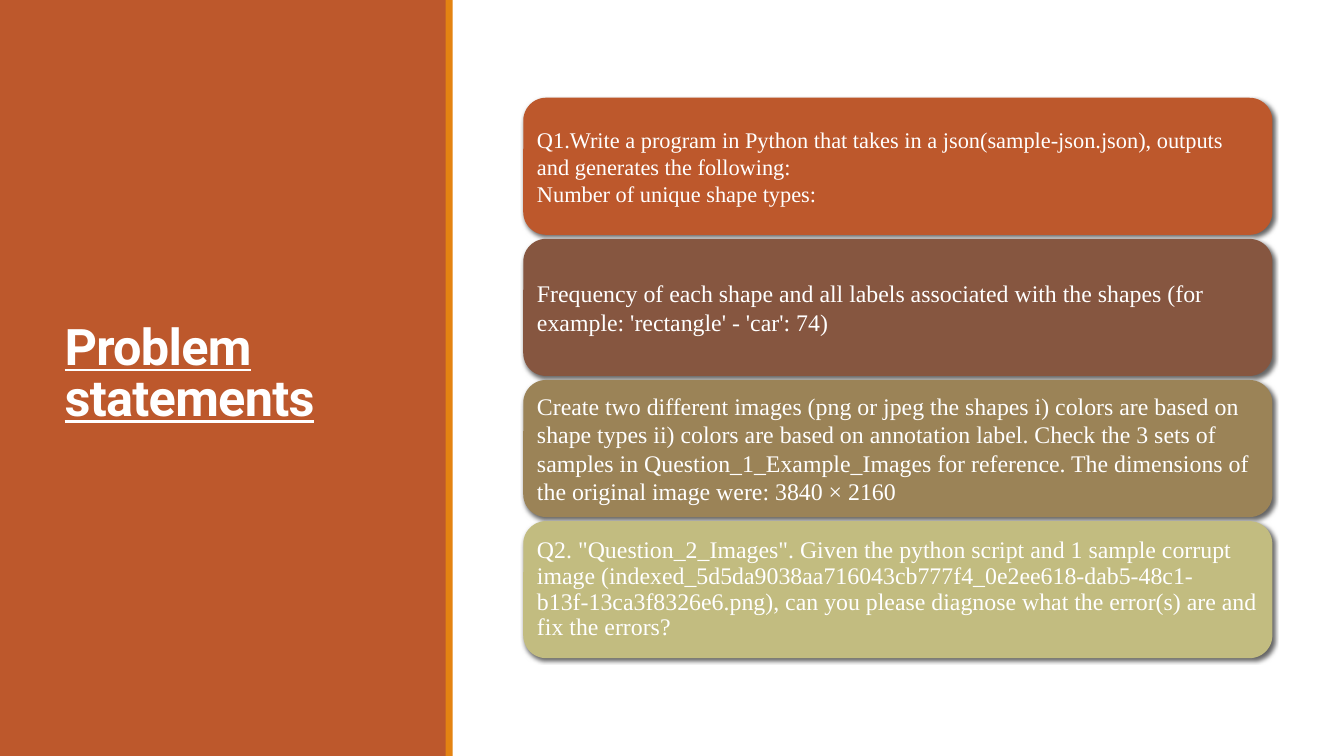
from lxml import etree
from pptx import Presentation
from pptx.dml.color import RGBColor
from pptx.enum import shapes, text
from pptx.oxml import ns
from pptx.util import Inches, Pt

COLORS = {
    "rust": "BD582C",
    "orange": "E48312",
    "brown": "865640",
    "tan": "9B8357",
    "khaki": "C2BC80",
    "white": "FFFFFF",
    "black": "000000",
}

# Fill, font size, line spacing, paragraphs
STATEMENTS = [
    ("rust", 16, None, [
        "Q1.Write a program in Python that takes in a json(sample-json.json), "
        "outputs and generates the following:",
        "Number of unique shape types:"]),
    ("brown", 17, None, [
        "Frequency of each shape and all labels associated with the shapes "
        "(for example: 'rectangle' - 'car': 74)"]),
    ("tan", 17, None, [
        "Create two different images (png or jpeg the shapes i) colors are "
        "based on shape types ii) colors are based on annotation label. Check "
        "the 3 sets of samples in Question_1_Example_Images for reference. The "
        "dimensions of the original image were: 3840 × 2160"]),
    ("khaki", 17, 0.9, [
        'Q2. "Question_2_Images". Given the python script and 1 sample corrupt '
        "image (indexed_5d5da9038aa716043cb777f4_0e2ee618-dab5-48c1-b13f-"
        "13ca3f8326e6.png), can you please diagnose what the error(s) are and "
        "fix the errors?"]),
]
CARD_TOP, CARD_PITCH = 0.97, 1.4


def rgb(name):
    return RGBColor.from_string(COLORS[name])


def add_block(s, kind, left, top, width, height, color):
    sp = s.shapes.add_shape(kind, Inches(left), Inches(top),
                            Inches(width), Inches(height))
    sp.shadow.inherit = False
    sp.fill.solid()
    sp.fill.fore_color.rgb = rgb(color)
    sp.line.fill.background()
    return sp


def add_shadow(sp):
    effects = sp.element.spPr.find(ns.qn("a:effectLst"))
    shadow = etree.SubElement(effects, ns.qn("a:outerShdw"), blurRad=str(Pt(3)),
                              dist=str(Pt(2)), dir="2700000", rotWithShape="0")
    color = etree.SubElement(shadow, ns.qn("a:srgbClr"), val=COLORS["black"])
    etree.SubElement(color, ns.qn("a:alpha"), val="60000")


def format_font(font, name, size):
    font.name = name
    font.size = Pt(size)
    font.color.rgb = rgb("white")


def set_title(s, title):
    sp = s.shapes.title
    sp.left, sp.top = Inches(0.54), Inches(0.57)
    sp.width, sp.height = Inches(3.37), Inches(6.31)
    tf = sp.text_frame
    tf.text = title
    tf.word_wrap = True
    tf.vertical_anchor = text.MSO_ANCHOR.MIDDLE
    p = tf.paragraphs[0]
    p.alignment = text.PP_ALIGN.LEFT
    p.line_spacing = 0.85
    for r in p.runs:
        format_font(r.font, "Roboto", 36)
        r.font.bold = r.font.underline = True
        r.font._element.set("spc", "-50")


def add_card(s, top, color, size, spacing, paragraphs):
    sp = add_block(s, shapes.MSO_SHAPE.ROUNDED_RECTANGLE,
                   5.19, top, 7.43, 1.36, color)
    add_shadow(sp)
    tf = sp.text_frame
    tf.text = "\n".join(paragraphs)
    tf.word_wrap = True
    tf.vertical_anchor = text.MSO_ANCHOR.MIDDLE
    # The rounded corners add about 0.07 inch to the side insets
    tf.margin_left = tf.margin_right = Inches(0.07)
    tf.margin_top = tf.margin_bottom = Inches(0.07)
    for p in tf.paragraphs:
        p.alignment = text.PP_ALIGN.LEFT
        if spacing:
            p.line_spacing = spacing
            p.space_after = Pt(size * 0.35)
        for r in p.runs:
            format_font(r.font, "Times New Roman", size)


def main():
    prs = Presentation()
    prs.slide_width, prs.slide_height = Inches(13.33), Inches(7.5)
    s = prs.slides.add_slide(prs.slide_layouts[5])

    # Side panel with its accent stripe, behind the title
    panel = add_block(s, shapes.MSO_SHAPE.RECTANGLE, 0, 0, 4.43, 7.5, "rust")
    s.shapes.title.element.addprevious(panel.element)
    add_block(s, shapes.MSO_SHAPE.RECTANGLE, 4.42, 0, 0.07, 7.5, "orange")
    set_title(s, "Problem\vstatements")

    # Stack of problem statements
    for i, statement in enumerate(STATEMENTS):
        add_card(s, CARD_TOP + i * CARD_PITCH, *statement)

    prs.save("out.pptx")


if __name__ == "__main__":
    main()
